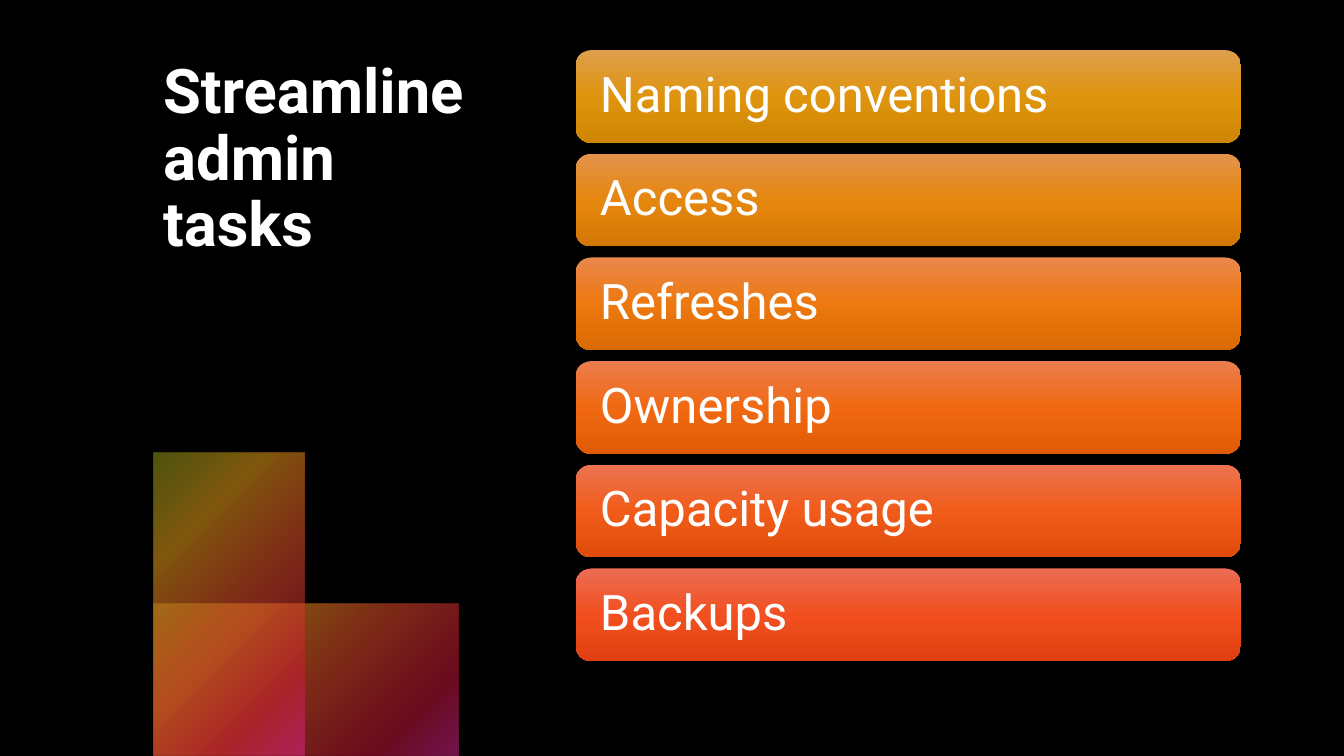
from lxml import etree
from pptx import Presentation
from pptx.dml.color import RGBColor
from pptx.enum.shapes import MSO_SHAPE as Kind
from pptx.enum.text import MSO_ANCHOR as Anchor, PP_ALIGN as Align
from pptx.oxml import parse_xml
from pptx.oxml.ns import qn
from pptx.util import Pt

# Content
TITLE = "Streamline admin tasks"
TASKS = [
    ("Naming conventions", ("DE9E4D", "DF940D", "CE8604")),
    ("Access", ("E5934D", "E5860E", "D47804")),
    ("Refreshes", ("EA884D", "EC780F", "DA6A04")),
    ("Ownership", ("EB7D4E", "F06912", "E05B04")),
    ("Capacity usage", ("EB7451", "F05B19", "E04D0B")),
    ("Backups", ("EC6C53", "F14F1F", "E04011")),
]
# Stops: position %, colour, opacity %
GLOW = [(0, "9FA71E", 50), (25, "D59117", 60), (50, "E75429", 55),
        (81, "D5173B", 50), (99, "E7299C", 50)]
TILES = [(109.4, 431.3, 218.4, 108.7), (109.4, 323.3, 108.4, 216.7)]

# Layout in points
WIDE, HIGH = 960, 540
TITLE_BOX = (109.4, 36, 240, 267)
BAR_X, BAR_Y, BAR_W, BAR_H = 411.2, 35.8, 475.2, 66.2
STEP = 74.05
FONT = "Roboto"

DOWN = '<a:lin ang="5400000" scaled="0"/>'
ROUND = '<a:path path="circle"><a:fillToRect r="100000" b="100000"/></a:path>'


def color(code):
    return RGBColor.from_string(code)


def shade(shape, stops, way):
    """Give a shape a gradient fill, in place of its plain one."""
    marks = "".join(
        f'<a:gs pos="{pos * 1000}"><a:srgbClr val="{code}">'
        f'<a:alpha val="{alpha * 1000}"/></a:srgbClr></a:gs>'
        for pos, code, alpha in stops)
    grad = parse_xml(
        '<a:gradFill xmlns:a="http://schemas.openxmlformats.org/drawingml/2006/main"'
        f' rotWithShape="1"><a:gsLst>{marks}</a:gsLst>{way}</a:gradFill>')
    shape.fill.background()
    props = shape._element.spPr
    props.replace(props.find(qn("a:noFill")), grad)


def block(slide, kind, box, stops, way):
    shape = slide.shapes.add_shape(kind, *map(Pt, box))
    shape.shadow.inherit = False
    shape.line.fill.background()
    shade(shape, stops, way)
    return shape


def write(shape, text, size, bold=False, code="FFFFFF", anchor=Anchor.TOP,
          side=7.2, edge=7.2):
    frame = shape.text_frame
    frame.word_wrap = True
    frame.vertical_anchor = anchor
    frame.margin_left = frame.margin_right = Pt(side)
    frame.margin_top = frame.margin_bottom = Pt(edge)
    para = frame.paragraphs[0]
    para.alignment = Align.LEFT
    para.line_spacing = 0.9
    run = para.add_run()
    run.text = text
    run.font.name, run.font.size, run.font.bold = FONT, Pt(size), bold
    run.font.color.rgb = color(code)


def main():
    deck = Presentation()
    deck.slide_width, deck.slide_height = Pt(WIDE), Pt(HIGH)
    slide = deck.slides.add_slide(deck.slide_layouts[6])
    slide.background.fill.solid()
    slide.background.fill.fore_color.rgb = color("000000")

    # Overlapping corner tiles
    for box in TILES:
        block(slide, Kind.RECTANGLE, box, GLOW, ROUND)

    # Title
    head = slide.shapes.add_textbox(*map(Pt, TITLE_BOX))
    write(head, TITLE, 44, bold=True)

    # Task bars
    for row, (task, hues) in enumerate(TASKS):
        box = (BAR_X, BAR_Y + row * STEP, BAR_W, BAR_H)
        stops = [(pos, hue, 100) for pos, hue in zip((0, 50, 100), hues)]
        bar = block(slide, Kind.ROUNDED_RECTANGLE, box, stops, DOWN)
        write(bar, task, 35, anchor=Anchor.MIDDLE, side=14.2, edge=0)

    deck.save("out.pptx")


if __name__ == "__main__":
    main()
